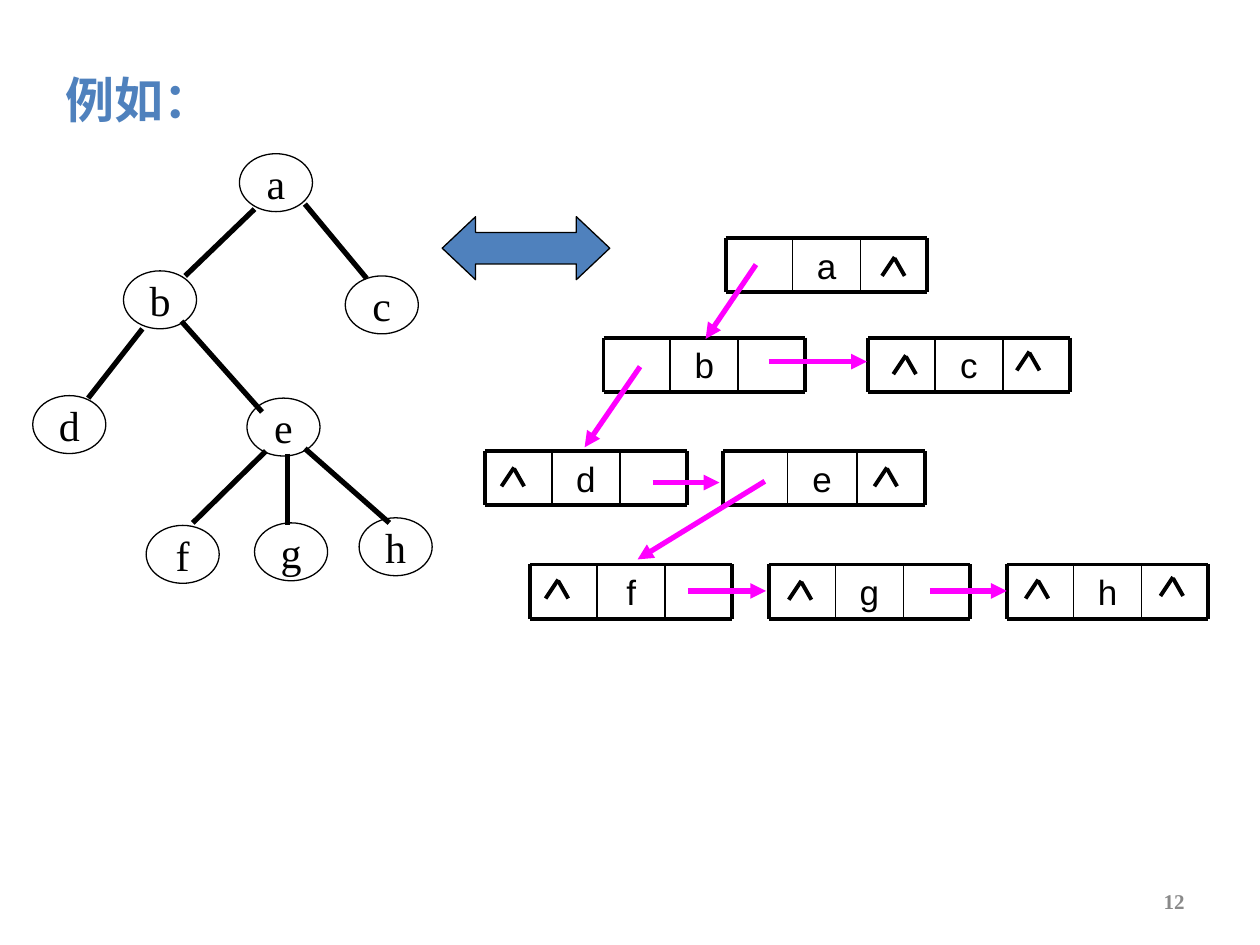
from lxml import etree
from pptx import Presentation
from pptx.dml.color import RGBColor
from pptx.enum.shapes import MSO_CONNECTOR, MSO_SHAPE
from pptx.enum.text import MSO_ANCHOR, PP_ALIGN
from pptx.oxml.ns import qn
from pptx.util import Inches, Pt

STRAIGHT = MSO_CONNECTOR.STRAIGHT
OVAL, DOUBLE_ARROW = MSO_SHAPE.OVAL, MSO_SHAPE.LEFT_RIGHT_ARROW
MIDDLE = MSO_ANCHOR.MIDDLE
LEFT, CENTER, RIGHT = PP_ALIGN.LEFT, PP_ALIGN.CENTER, PP_ALIGN.RIGHT

BLACK, BLUE, MAGENTA, GRAY = "000000", "4F81BD", "FF00FF", "898989"
SERIF, SANS, CHINESE = "Times New Roman", "Arial", "Noto Sans CJK SC"

NODE_WIDTH, NODE_HEIGHT = 0.58, 0.46
RECORD_WIDTH, RECORD_HEIGHT = 1.6, 0.43
THIRDS = (0.53, 1.07)

# Tree nodes: left, top
NODES = {
    "a": (1.9, 1.22), "b": (0.98, 2.15), "c": (2.74, 2.19), "d": (0.26, 3.14),
    "e": (1.96, 3.16), "f": (1.16, 4.17), "g": (2.02, 4.15), "h": (2.85, 4.11),
}
BRANCHES = [
    ((2.02, 1.66), (1.47, 2.19)), ((2.42, 1.62), (2.91, 2.21)),
    ((1.13, 2.61), (0.7, 3.16)), ((1.44, 2.55), (2.08, 3.27)),
    ((2.11, 3.58), (1.53, 4.15)), ((2.28, 3.6), (2.28, 4.17)),
    ((2.42, 3.56), (3.09, 4.15)),
]
# Linked records: letter, left, top, divider offsets, tips of the null marks
RECORDS = [
    ("a", 5.76, 1.89, THIRDS, [(7.1, 2.04)]),
    ("b", 4.79, 2.68, THIRDS, []),
    ("c", 6.89, 2.68, THIRDS, [(7.19, 2.82), (8.17, 2.79)]),
    ("d", 3.85, 3.58, THIRDS, [(4.08, 3.71)]),
    ("e", 5.74, 3.58, (0.51, 1.06), [(7.04, 3.71)]),
    ("f", 4.21, 4.48, THIRDS, [(4.43, 4.6)]),
    ("g", 6.1, 4.48, THIRDS, [(6.36, 4.61)]),
    ("h", 7.99, 4.48, THIRDS, [(8.24, 4.6), (9.31, 4.58)]),
]
POINTERS = [
    ((6, 2.1), (5.6, 2.69)), ((6.1, 2.87), (6.88, 2.87)),
    ((5.08, 2.91), (4.64, 3.55)), ((5.18, 3.83), (5.71, 3.83)),
    ((6.07, 3.82), (5.06, 4.44)), ((5.46, 4.69), (6.08, 4.69)),
    ((7.38, 4.69), (7.99, 4.69)),
]


def color(value):
    return RGBColor.from_string(value)


def write_text(shape, text, font=SANS, size=20, fill=BLACK, bold=False,
               align=CENTER, wrap=True):
    frame = shape.text_frame
    frame.word_wrap = wrap
    frame.vertical_anchor = MIDDLE
    paragraph = frame.paragraphs[0]
    paragraph.alignment = align
    run = paragraph.add_run()
    run.text = text
    run.font.name, run.font.size, run.font.bold = font, Pt(size), bold
    run.font.color.rgb = color(fill)
    east_asian = etree.SubElement(run.font._element, qn("a:ea"))
    east_asian.set("typeface", font)


def add_text(shapes, box, text, **text_format):
    write_text(shapes.add_textbox(*map(Inches, box)), text, **text_format)


def add_outlined(shapes, kind, box, fill=None):
    shape = shapes.add_shape(kind, *map(Inches, box))
    shape.shadow.inherit = False
    if fill:
        shape.fill.solid()
        shape.fill.fore_color.rgb = color(fill)
    else:
        shape.fill.background()
    shape.line.color.rgb = color(BLACK)
    shape.line.width = Pt(0.75)
    return shape


def add_line(shapes, start, end, width, stroke=BLACK, arrow=False):
    connector = shapes.add_connector(STRAIGHT, *map(Inches, (*start, *end)))
    connector.line.color.rgb = color(stroke)
    connector.line.width = Pt(width)
    if arrow:
        head = etree.SubElement(connector.line._get_or_add_ln(), qn("a:tailEnd"))
        head.set("type", "triangle")
    etree.SubElement(connector._element.spPr, qn("a:effectLst"))


def add_tree(slide):
    shapes = slide.shapes.add_group_shape().shapes
    for letter, (left, top) in NODES.items():
        node = add_outlined(shapes, OVAL, (left, top, NODE_WIDTH, NODE_HEIGHT))
        write_text(node, letter, font=SERIF, size=24, wrap=False)
    for start, end in BRANCHES:
        add_line(shapes, start, end, 3)


def add_record(slide, letter, left, top, dividers, null_marks):
    shapes = slide.shapes.add_group_shape().shapes
    right, bottom = left + RECORD_WIDTH, top + RECORD_HEIGHT
    first, second = dividers
    add_text(shapes, (left + first, top, second - first, RECORD_HEIGHT), letter)
    # Frame and cell dividers
    for y in (top, bottom):
        add_line(shapes, (left, y), (right, y), 2.25)
    for offset, width in ((0, 2.25), (first, 1), (second, 1), (RECORD_WIDTH, 2.25)):
        add_line(shapes, (left + offset, top), (left + offset, bottom), width)
    # Null pointer marks
    for x, y in null_marks:
        add_line(shapes, (x, y), (x - 0.1, y + 0.15), 2.25)
        add_line(shapes, (x, y + 0.01), (x + 0.08, y + 0.15), 2.25)


def add_linked_list(slide):
    for record in RECORDS:
        add_record(slide, *record)
    for start, end in POINTERS:
        add_line(slide.shapes, start, end, 3, stroke=MAGENTA, arrow=True)


def main():
    presentation = Presentation()
    presentation.slide_width, presentation.slide_height = Inches(10), Inches(7.5)
    slide = presentation.slides.add_slide(presentation.slide_layouts[6])

    # Title
    add_text(slide.shapes, (0.42, 0.5, 1.42, 0.57), "例如：", font=CHINESE,
             size=28, fill=BLUE, bold=True, align=LEFT)
    add_tree(slide)
    add_linked_list(slide)

    # Equivalence arrow
    arrow = add_outlined(slide.shapes, DOUBLE_ARROW, (3.51, 1.72, 1.33, 0.5), BLUE)
    arrow.adjustments[0], arrow.adjustments[1] = 0.5, 0.53

    # Page number
    add_text(slide.shapes, (7.17, 6.95, 2.33, 0.4), "12", font=SERIF, size=12,
             fill=GRAY, bold=True, align=RIGHT)
    presentation.save("out.pptx")


if __name__ == "__main__":
    main()
